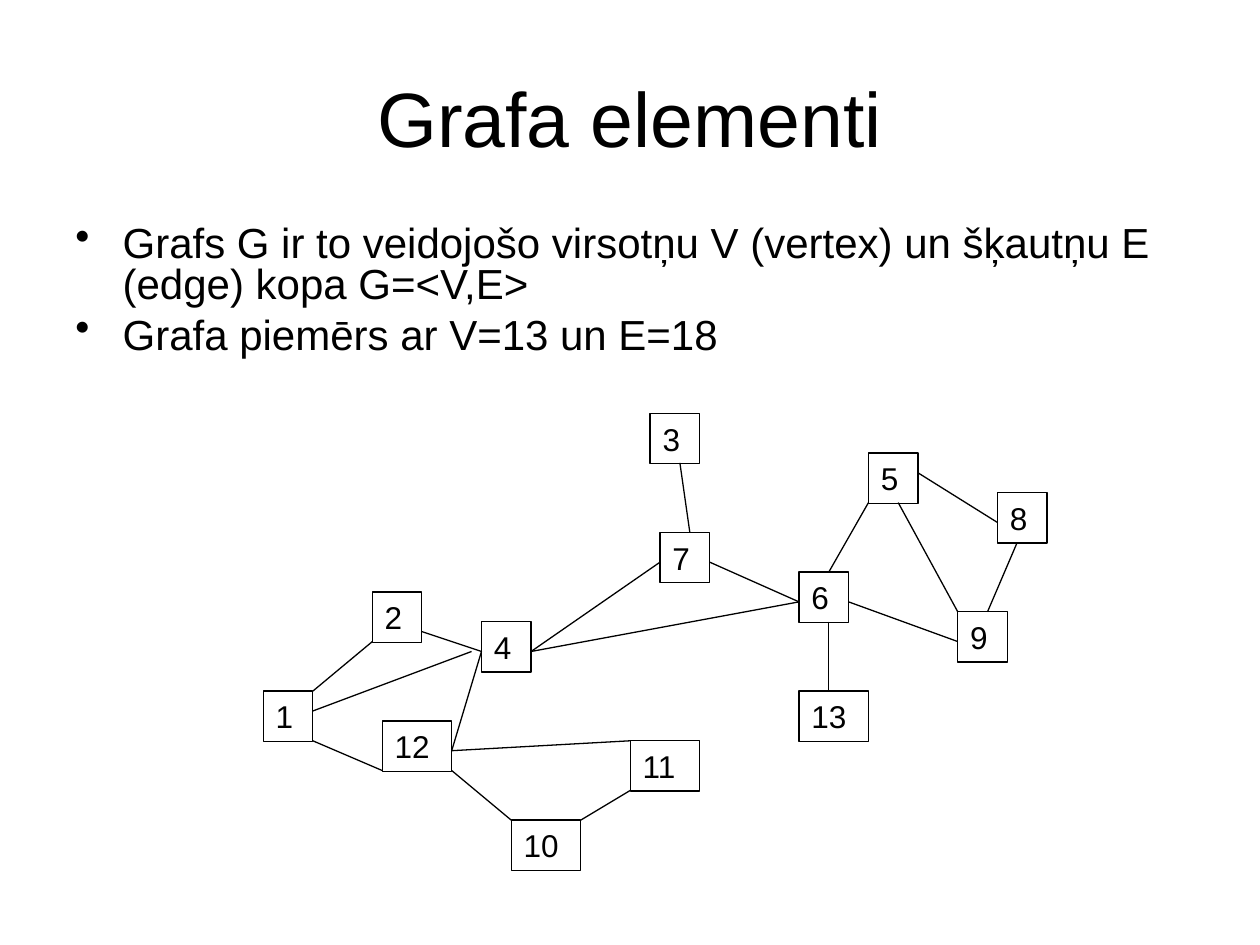
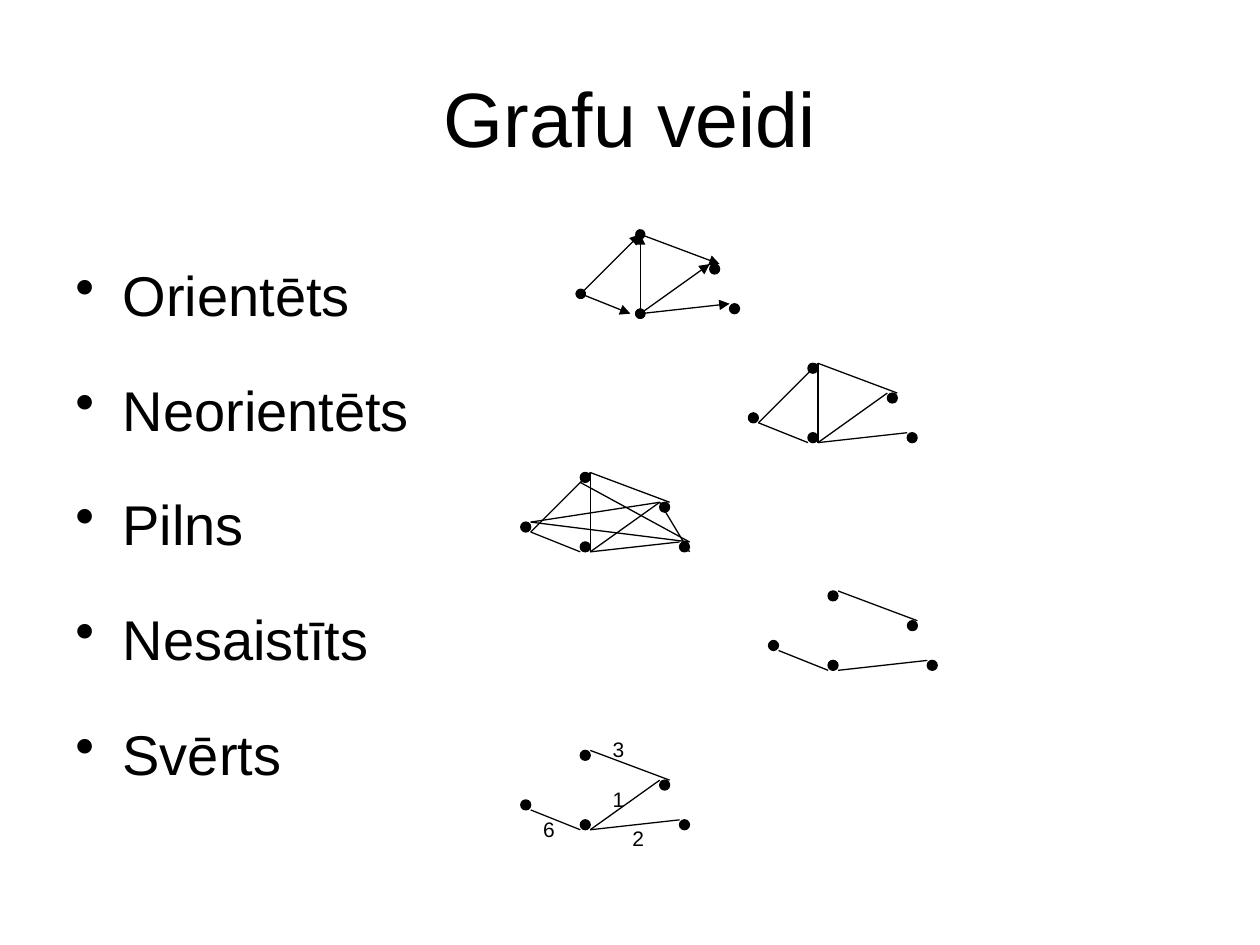
"""Build two slides on the elements and kinds of graphs."""
from lxml.etree import SubElement
from pptx import Presentation
from pptx.dml.color import RGBColor
from pptx.enum.shapes import MSO_CONNECTOR, MSO_SHAPE
from pptx.enum.text import MSO_ANCHOR, MSO_AUTO_SIZE, PP_ALIGN
from pptx.oxml.ns import qn
from pptx.util import Pt

INK = "000000"
FONT = "Arial"
GRID = 5.67
LINE_WIDTH = 0.75


def paint(fill, colour):
    fill.solid()
    fill.fore_color.rgb = RGBColor.from_string(colour)


def write(frame, *lines, size=18, align=PP_ALIGN.LEFT, anchor=MSO_ANCHOR.TOP,
          fit=MSO_AUTO_SIZE.NONE, bullet=None, spacing=None, before=0):
    frame.word_wrap = True
    frame.auto_size = fit
    frame.vertical_anchor = anchor
    for number, line in enumerate(lines):
        paragraph = frame.add_paragraph() if number else frame.paragraphs[0]
        if bullet:
            properties = paragraph._p.get_or_add_pPr()
            properties.set("marL", str(Pt(27)))
            properties.set("indent", str(-Pt(27)))
            SubElement(properties, qn("a:buChar"), char=bullet)
        paragraph.alignment = align
        if spacing:
            paragraph.line_spacing = spacing
        if number:
            paragraph.space_before = Pt(before)
        run = paragraph.add_run()
        run.text = line
        run.font.name = FONT
        run.font.size = Pt(size)
        paint(run.font.fill, INK)


deck = Presentation()
deck.slide_width, deck.slide_height = Pt(720), Pt(540)

topics = [
    ("Grafa elementi", 648, 87, dict(size=24, spacing=0.8, before=6), [
        "Grafs G ir to veidojošo virsotņu V (vertex) un šķautņu E (edge) kopa G=<V,E>",
        "Grafa piemērs ar V=13 un E=18"]),
    ("Grafu veidi", 279, 356, dict(size=32, spacing=1.5, before=8), [
        "Orientēts", "Neorientēts", "Pilns", "Nesaistīts", "Svērts"]),
]
slides = []
for heading, width, height, style, points in topics:
    slide = deck.slides.add_slide(deck.slide_layouts[5])
    title = slide.shapes.title
    title.left, title.top, title.width, title.height = Pt(36), Pt(21.6), Pt(648), Pt(90)
    write(title.text_frame, heading, size=44, align=PP_ALIGN.CENTER, anchor=MSO_ANCHOR.MIDDLE)
    body = slide.shapes.add_textbox(Pt(36), Pt(126), Pt(width), Pt(height))
    write(body.text_frame, *points, bullet="•", **style)
    slides.append(slide)
elements, kinds = slides

example_left, example_top = 150.4, 236.2
vertices = {
    1: (0, 28), 12: (12, 31), 4: (22, 21), 2: (11, 18), 3: (39, 0), 7: (40, 12), 5: (61, 4),
    13: (54, 28), 6: (54, 16), 9: (70, 20), 8: (74, 8), 10: (25, 41), 11: (37, 33),
}
for number, (column, row) in vertices.items():
    vertex = elements.shapes.add_shape(
        MSO_SHAPE.RECTANGLE, Pt(example_left + column * GRID), Pt(example_top + row * GRID),
        Pt(GRID * (7 if number > 9 else 5)), Pt(28.8))
    vertex.shadow.inherit = False
    vertex.fill.background()
    paint(vertex.line.fill, INK)
    vertex.line.width = Pt(LINE_WIDTH)
    write(vertex.text_frame, str(number), fit=MSO_AUTO_SIZE.SHAPE_TO_FIT_TEXT)

example_edges = [
    (5, 28, 11, 23), (5, 33, 12, 36), (5, 30, 21, 24), (16, 22, 22, 24), (19, 34, 22, 24),
    (19, 36, 25, 41), (32, 41, 37, 38), (19, 34, 37, 33), (27, 24, 54, 19), (27, 24, 40, 15),
    (42, 5, 43, 12), (45, 15, 54, 19), (57, 16, 61, 9), (57, 21, 57, 28), (59, 19, 70, 23),
    (66, 6, 74, 11), (64, 9, 70, 20), (73, 20, 76, 13),
]
edge_sets = [(elements, example_left, example_top, example_edges, False)]

dots = [(16, 7), (14, 3), (6, 7), (6, 0), (0, 5)]
rise, fall, roof, post, brace, floor = base_edges = [
    (1, 6, 7, 0), (1, 6, 6, 8), (7, 0, 15, 3), (7, 8, 7, 0), (7, 8, 14, 3), (7, 8, 16, 7)]
diagonals = [(1, 5, 17, 7), (6, 1, 17, 7), (14, 3, 17, 8), (1, 5, 14, 3)]
weights = [("6", 1, 6), ("2", 10, 7), ("1", 8, 3), ("3", 8, -2)]
graphs = [
    (326.2, 133.9, dots[:2], base_edges, [], True),
    (427.7, 207.6, dots, base_edges, [], False),
    (297.6, 270, dots, base_edges + diagonals, [], False),
    (439.2, 337.7, dots, [fall, roof, floor], [], False),
    (297.6, 428.8, dots, [fall, roof, brace, floor], weights, False),
]
for left, top, graph_dots, edges, labels, directed in graphs:
    edge_sets.append((kinds, left, top, edges, directed))
    for column, row in graph_dots:
        dot = kinds.shapes.add_shape(
            MSO_SHAPE.OVAL, Pt(left + column * GRID), Pt(top + row * GRID), Pt(GRID), Pt(GRID))
        dot.shadow.inherit = False
        paint(dot.fill, INK)
        paint(dot.line.fill, INK)
        dot.line.width = Pt(LINE_WIDTH)
    for weight, column, row in labels:
        label = kinds.shapes.add_textbox(
            Pt(left + column * GRID), Pt(top + row * GRID), Pt(22.3), Pt(21.6))
        write(label.text_frame, weight, size=12, fit=MSO_AUTO_SIZE.SHAPE_TO_FIT_TEXT)

for slide, left, top, edges, directed in edge_sets:
    for x1, y1, x2, y2 in edges:
        edge = slide.shapes.add_connector(
            MSO_CONNECTOR.STRAIGHT, Pt(left + x1 * GRID), Pt(top + y1 * GRID),
            Pt(left + x2 * GRID), Pt(top + y2 * GRID))
        paint(edge.line.fill, INK)
        edge.line.width = Pt(LINE_WIDTH)
        properties = edge._element.spPr
        if directed:
            outline = properties.find(qn("a:ln"))
            SubElement(outline, qn("a:headEnd"), type="oval", w="med", len="med")
            SubElement(outline, qn("a:tailEnd"), type="triangle", w="med", len="med")
        SubElement(properties, qn("a:effectLst"))

deck.save("out.pptx")
